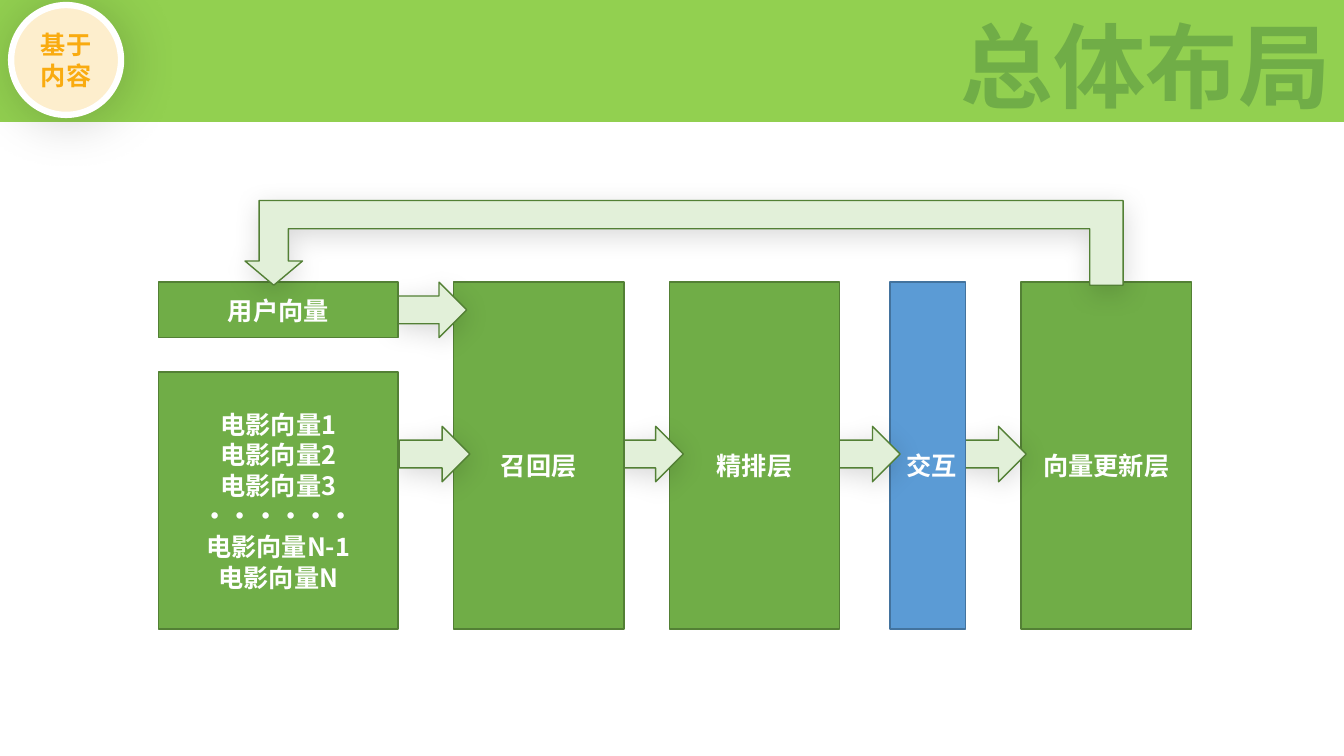
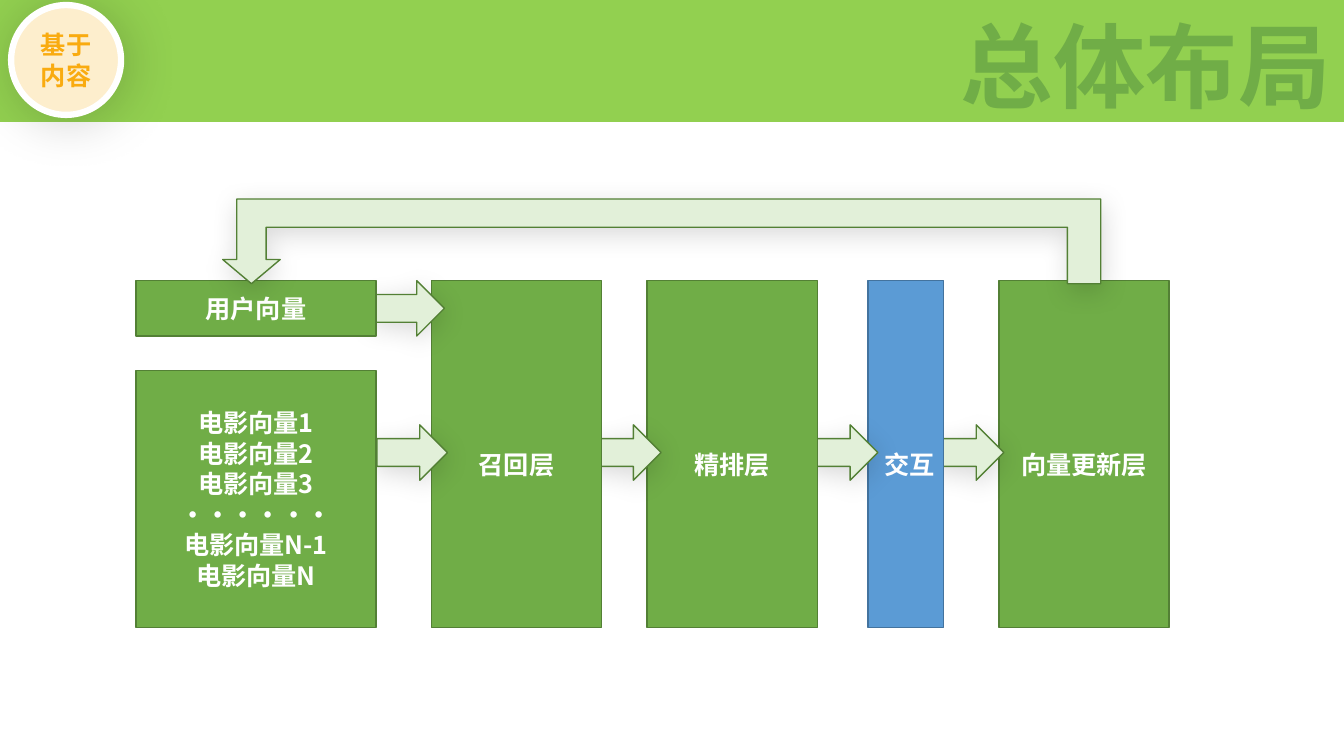
import pptx
import pptx.dml.color
import pptx.enum.lang
import pptx.enum.shapes
import pptx.enum.text
import pptx.oxml.ns
import pptx.util
from lxml import etree

SLIDE_WIDTH = pptx.util.Inches(13.333)
SLIDE_HEIGHT = pptx.util.Inches(7.5)
FONT = "Noto Sans CJK SC"
GREEN, DARK_GREEN, PALE_GREEN = "70AD47", "538035", "E2F0D9"
BLUE, DARK_BLUE = "5B9BD5", "43739E"
BAND, CREAM, ORANGE, WHITE = "92D050", "FDEECD", "F9AB10", "FFFFFF"

# Shadow: opacity in percent, blur and distance in points, angle in degrees
ARROW_SHADOW = (14, 19, 4, 90)
BADGE_SHADOW = (19, 39, 3, 45)

# All positions and sizes are percentages of the slide's width and height.
ORIGINS = [(11.78, 37.33), (10.12, 37.13)]
VECTOR_WIDTH = 17.85
USER_HEIGHT = 7.33
MOVIE_TOP, MOVIE_HEIGHT = 11.87, 34
STAGE_HEIGHT = 45.87
LABEL_DROP = 2.6
ARROW_WIDTH, ARROW_HEIGHT = 5.25, 7.33
USER_ARROW_LEFT = 17.7
FLOW_ARROW_TOP = 19.07

# Label, left, width, left of the incoming arrow, label inset, fill, line
STAGES = [
    ("召回层", 21.97, 12.68, 17.93, 0, GREEN, DARK_GREEN),
    ("精排层", 38.02, 12.68, 33.82, 0, GREEN, DARK_GREEN),
    ("交互", 54.45, 5.62, 49.95, 0.6, BLUE, DARK_BLUE),
    ("向量更新层", 64.2, 12.68, 59.33, 0, GREEN, DARK_GREEN),
]
MOVIE_VECTORS = ["电影向量1", "电影向量2", "电影向量3", "······", "电影向量N-1", "电影向量N"]
FEEDBACK_OUTLINE = [
    (71.78, -10.8), (71.78, 0.4), (69.3, 0.4), (69.3, -7.07), (9.68, -7.07),
    (9.68, -2.8), (10.73, -2.8), (8.59, 0.4), (6.45, -2.8), (7.5, -2.8), (7.5, -10.8),
]


def across(share):
    return round(SLIDE_WIDTH * share / 100)


def down(share):
    return round(SLIDE_HEIGHT * share / 100)


def color(value):
    return pptx.dml.color.RGBColor.from_string(value)


def add_shadow(shape, opacity, blur, distance, angle):
    effects = shape._element.spPr.find(pptx.oxml.ns.qn("a:effectLst"))
    shadow = etree.SubElement(
        effects, pptx.oxml.ns.qn("a:outerShdw"),
        blurRad=str(pptx.util.Pt(blur)), dist=str(pptx.util.Pt(distance)),
        dir=str(angle * 60000), algn="ctr", rotWithShape="0")
    black = etree.SubElement(shadow, pptx.oxml.ns.qn("a:srgbClr"), val="000000")
    etree.SubElement(black, pptx.oxml.ns.qn("a:alpha"), val=str(opacity * 1000))


def style_shape(shape, fill, line=None, line_width=1, shadow=None):
    shape.shadow.inherit = False
    shape.fill.solid()
    shape.fill.fore_color.rgb = color(fill)
    if line:
        shape.line.color.rgb = color(line)
        shape.line.width = pptx.util.Pt(line_width)
    else:
        shape.line.fill.background()
    if shadow:
        add_shadow(shape, *shadow)


def add_preset(slide, kind, left, top, width, height, **style):
    shape = slide.shapes.add_shape(
        getattr(pptx.enum.shapes.MSO_SHAPE, kind),
        across(left), down(top), across(width), down(height))
    style_shape(shape, **style)
    return shape


def write_text(shape, lines, size=18, font_color=WHITE, spacing=21.8,
               align="CENTER", inset_left=0, inset_top=0):
    frame = shape.text_frame
    frame.word_wrap = True
    frame.vertical_anchor = pptx.enum.text.MSO_ANCHOR.MIDDLE
    frame.margin_right = frame.margin_bottom = 0
    frame.margin_left, frame.margin_top = across(inset_left), down(inset_top)
    for index, line in enumerate(lines):
        paragraph = frame.add_paragraph() if index else frame.paragraphs[0]
        paragraph.alignment = getattr(pptx.enum.text.PP_ALIGN, align)
        paragraph.line_spacing = pptx.util.Pt(spacing)
        run = paragraph.add_run()
        run.text = line
        font = run.font
        font.name, font.size, font.bold = FONT, pptx.util.Pt(size), True
        font.color.rgb = color(font_color)
        font.language_id = pptx.enum.lang.MSO_LANGUAGE_ID.SIMPLIFIED_CHINESE
        east_asian = etree.SubElement(run._r.rPr, pptx.oxml.ns.qn("a:ea"))
        east_asian.set("typeface", FONT)


def add_header(slide, title, badge_lines):
    add_preset(slide, "RECTANGLE", 0, 0, 100, 16.13, fill=BAND)
    title_box = slide.shapes.add_textbox(across(71), down(2.67), across(28), down(14.13))
    write_text(title_box, [title], size=66, font_color=GREEN, spacing=66, align="RIGHT")
    badge = add_preset(slide, "OVAL", 0.83, 0.67, 8.18, 14.53, fill=CREAM,
                       line=WHITE, line_width=4.5, shadow=BADGE_SHADOW)
    write_text(badge, badge_lines, font_color=ORANGE)


def add_flow_arrow(slide, left, top):
    add_preset(slide, "RIGHT_ARROW", left, top, ARROW_WIDTH, ARROW_HEIGHT,
               fill=PALE_GREEN, line=DARK_GREEN, shadow=ARROW_SHADOW)


def add_feedback_arrow(slide, left, top):
    start, *others = [(across(left + x), down(top + y)) for x, y in FEEDBACK_OUTLINE]
    builder = slide.shapes.build_freeform(*start)
    builder.add_line_segments(others, close=True)
    style_shape(builder.convert_to_shape(), PALE_GREEN, DARK_GREEN, shadow=ARROW_SHADOW)


def add_vectors(slide, left, top, height, lines):
    box = add_preset(slide, "RECTANGLE", left, top, VECTOR_WIDTH, height,
                     fill=GREEN, line=DARK_GREEN)
    write_text(box, lines)


def add_pipeline(slide, left, top):
    """Stack from right to left, so that each stage covers its outgoing arrow's tail."""
    for label, offset, width, arrow_offset, inset, fill, line in reversed(STAGES):
        stage = add_preset(slide, "RECTANGLE", left + offset, top, width, STAGE_HEIGHT,
                           fill=fill, line=line)
        write_text(stage, [label], inset_left=inset, inset_top=LABEL_DROP)
        add_flow_arrow(slide, left + arrow_offset, top + FLOW_ARROW_TOP)
    add_flow_arrow(slide, left + USER_ARROW_LEFT, top)
    add_vectors(slide, left, top + MOVIE_TOP, MOVIE_HEIGHT, MOVIE_VECTORS)
    add_vectors(slide, left, top, USER_HEIGHT, ["用户向量"])
    add_feedback_arrow(slide, left, top)


def main():
    presentation = pptx.Presentation()
    presentation.slide_width, presentation.slide_height = SLIDE_WIDTH, SLIDE_HEIGHT
    for left, top in ORIGINS:
        slide = presentation.slides.add_slide(presentation.slide_layouts[6])
        add_header(slide, "总体布局", ["基于", "内容"])
        add_pipeline(slide, left, top)
    presentation.save("out.pptx")


if __name__ == "__main__":
    main()
